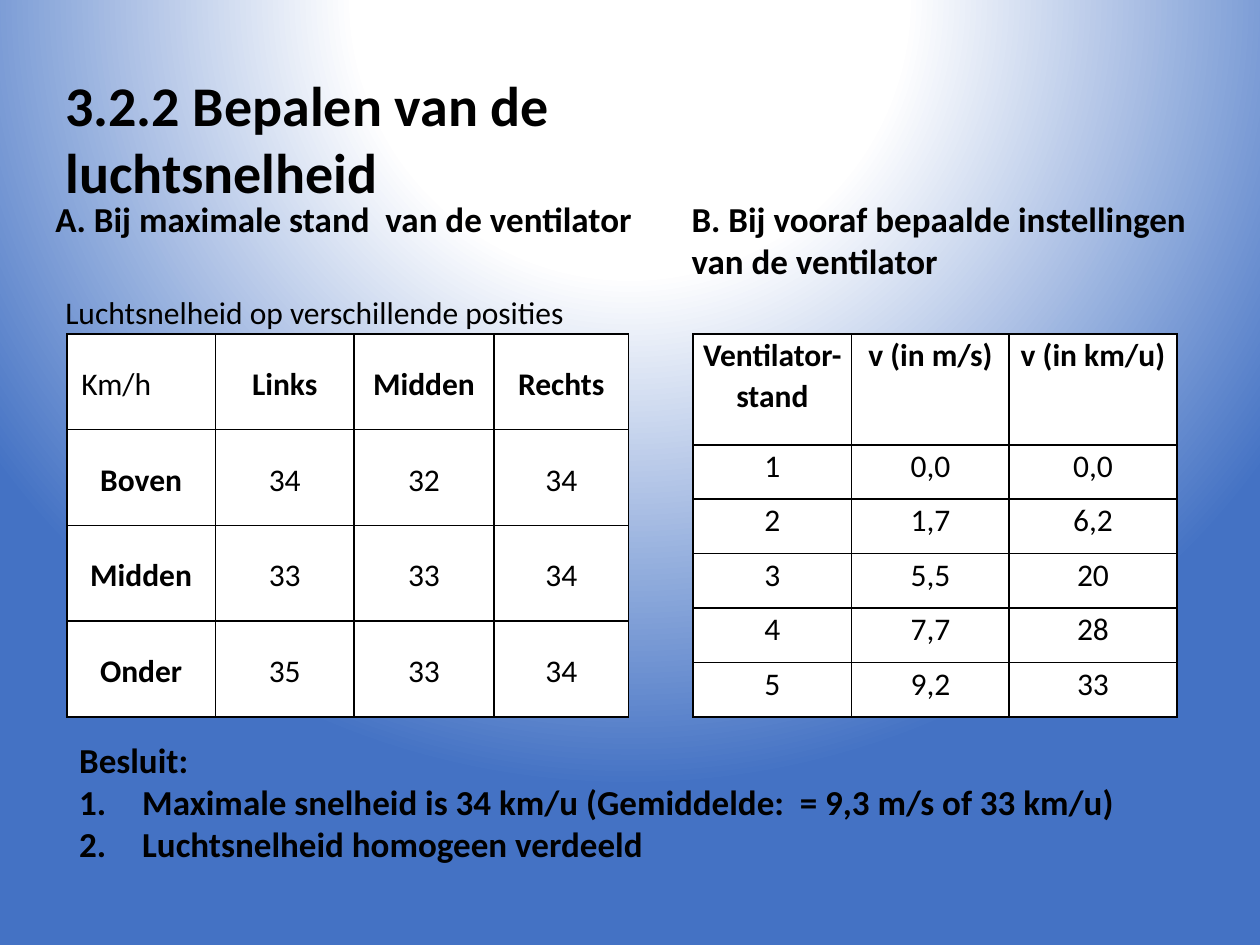
from lxml import etree
from pptx import Presentation
from pptx import util as u
from pptx.dml.color import RGBColor
from pptx.enum import text
from pptx.oxml import parse_xml
from pptx.oxml.ns import qn

BLACK = RGBColor(0, 0, 0)
WHITE = RGBColor(255, 255, 255)
BLUE = RGBColor(0x44, 0x72, 0xC4)
FONT = "Calibri"
DRAWING = 'xmlns:a="http://schemas.openxmlformats.org/drawingml/2006/main"'
COLS, ROWS = 100, 75


class Board:
    def __init__(self, deck):
        self.deck = deck
        self.slide = deck.slides.add_slide(deck.slide_layouts[6])

    def col(self, n):
        return round(self.deck.slide_width * n / COLS)

    def row(self, n):
        return round(self.deck.slide_height * n / ROWS)

    def area(self, x, y, w, h):
        return self.col(x), self.row(y), self.col(w), self.row(h)

    def glow(self, stops):
        fill = self.slide.background.fill
        fill.gradient()
        grad = self.slide.element.find(".//" + qn("a:gradFill"))
        marks = "".join(
            f'<a:gs pos="{pos * 1000}"><a:srgbClr val="{color}"/></a:gs>'
            for pos, color in stops
        )
        fresh = parse_xml(
            f'<a:gradFill {DRAWING} rotWithShape="1"><a:gsLst>{marks}</a:gsLst>'
            '<a:path path="circle"><a:fillToRect l="50000" t="-80000" '
            'r="50000" b="180000"/></a:path></a:gradFill>'
        )
        grad.getparent().replace(grad, fresh)

    def style(self, para, size, bold):
        for run in para.runs:
            font = run.font
            font.name = FONT
            font.size = u.Pt(size)
            font.bold = bold
            font.color.rgb = BLACK

    def number(self, para):
        props = para._p.get_or_add_pPr()
        props.set("marL", str(u.Inches(0.5)))
        props.set("indent", str(-u.Inches(0.5)))
        etree.SubElement(props, qn("a:buFont"), typeface="+mj-lt")
        etree.SubElement(props, qn("a:buAutoNum"), type="arabicPeriod")

    def label(self, words, place, size=20, bold=True, wrap=True, listed=False):
        frame = self.slide.shapes.add_textbox(*self.area(*place)).text_frame
        frame.text = words
        frame.word_wrap = wrap
        frame.auto_size = text.MSO_AUTO_SIZE.SHAPE_TO_FIT_TEXT
        for i, para in enumerate(frame.paragraphs):
            if listed and i:
                self.number(para)
            self.style(para, size, bold)

    def border(self, cell):
        props = cell._tc.get_or_add_tcPr()
        for i, side in enumerate(("lnL", "lnR", "lnT", "lnB")):
            props.insert(i, parse_xml(
                f'<a:{side} {DRAWING} w="{u.Pt(1)}"><a:solidFill>'
                f'<a:srgbClr val="{BLACK}"/></a:solidFill></a:{side}>'
            ))

    def table(self, data, x, y, widths, heights, inset, space, anchor, strong):
        place = self.area(x, y, sum(widths), sum(heights))
        grid = self.slide.shapes.add_table(len(data), len(data[0]), *place).table
        grid.first_row = grid.horz_banding = False
        for column, width in zip(grid.columns, widths):
            column.width = self.col(width)
        for line, height in zip(grid.rows, heights):
            line.height = self.row(height)
        for r, line in enumerate(data):
            for c, words in enumerate(line):
                cell = grid.cell(r, c)
                cell.text = words
                cell.fill.solid()
                cell.fill.fore_color.rgb = WHITE
                cell.vertical_anchor = anchor
                cell.margin_left = cell.margin_right = u.Inches(inset)
                cell.margin_top = cell.margin_bottom = 0
                para = cell.text_frame.paragraphs[0]
                para.alignment = text.PP_ALIGN.CENTER
                para.line_spacing = space
                self.style(para, 18, strong(r, c))
                self.border(cell)
        return grid


def main():
    deck = Presentation()
    deck.slide_width, deck.slide_height = u.Inches(10), u.Inches(7.5)
    board = Board(deck)
    board.glow([(0, WHITE), (35, WHITE), (100, BLUE)])

    board.label("3.2.2 Bepalen van de luchtsnelheid", (4.2, 5.1, 63.7, 6.4), 32)
    board.label("A. Bij maximale stand  van de ventilator", (3.4, 15.2, 49.5, 4.4))
    spots = [
        (" Km/h", "Links", "Midden", "Rechts"),
        ("Boven", "34", "32", "34"),
        ("Midden", "33", "33", "34"),
        ("Onder", "35", "33", "34"),
    ]
    grid = board.table(
        spots, 5.3, 26.5, (11.8, 11, 11.1, 10.7), [7.6] * 4, 0.06, 1.15,
        text.MSO_ANCHOR.MIDDLE, lambda r, c: (r == 0) != (c == 0),
    )
    grid.cell(0, 0).text_frame.paragraphs[0].alignment = text.PP_ALIGN.JUSTIFY

    board.label(
        "Besluit:\n"
        "Maximale snelheid is 34 km/u (Gemiddelde:  = 9,3 m/s of 33 km/u)\n"
        "Luchtsnelheid homogeen verdeeld",
        (5.3, 58.1, 88.8, 11.1), listed=True,
    )
    board.label(
        "B. Bij vooraf bepaalde instellingen van de ventilator",
        (53.9, 15.2, 44.6, 7.7),
    )
    board.label(
        "Luchtsnelheid op verschillende posities", (4.2, 22.8, 42.7, 4),
        18, bold=False, wrap=False,
    )
    speeds = [
        ("Ventilator-stand", "v (in m/s)", "v (in km/u)"),
        ("1", "0,0", "0,0"),
        ("2", "1,7", "6,2"),
        ("3", "5,5", "20"),
        ("4", "7,7", "28"),
        ("5", "9,2", "33"),
    ]
    board.table(
        speeds, 55, 26.5, (12.6, 12.5, 13.3), [8.8] + [4.32] * 5, 0.07, 1.07,
        text.MSO_ANCHOR.TOP, lambda r, c: r == 0,
    )
    deck.save("out.pptx")


if __name__ == "__main__":
    main()
